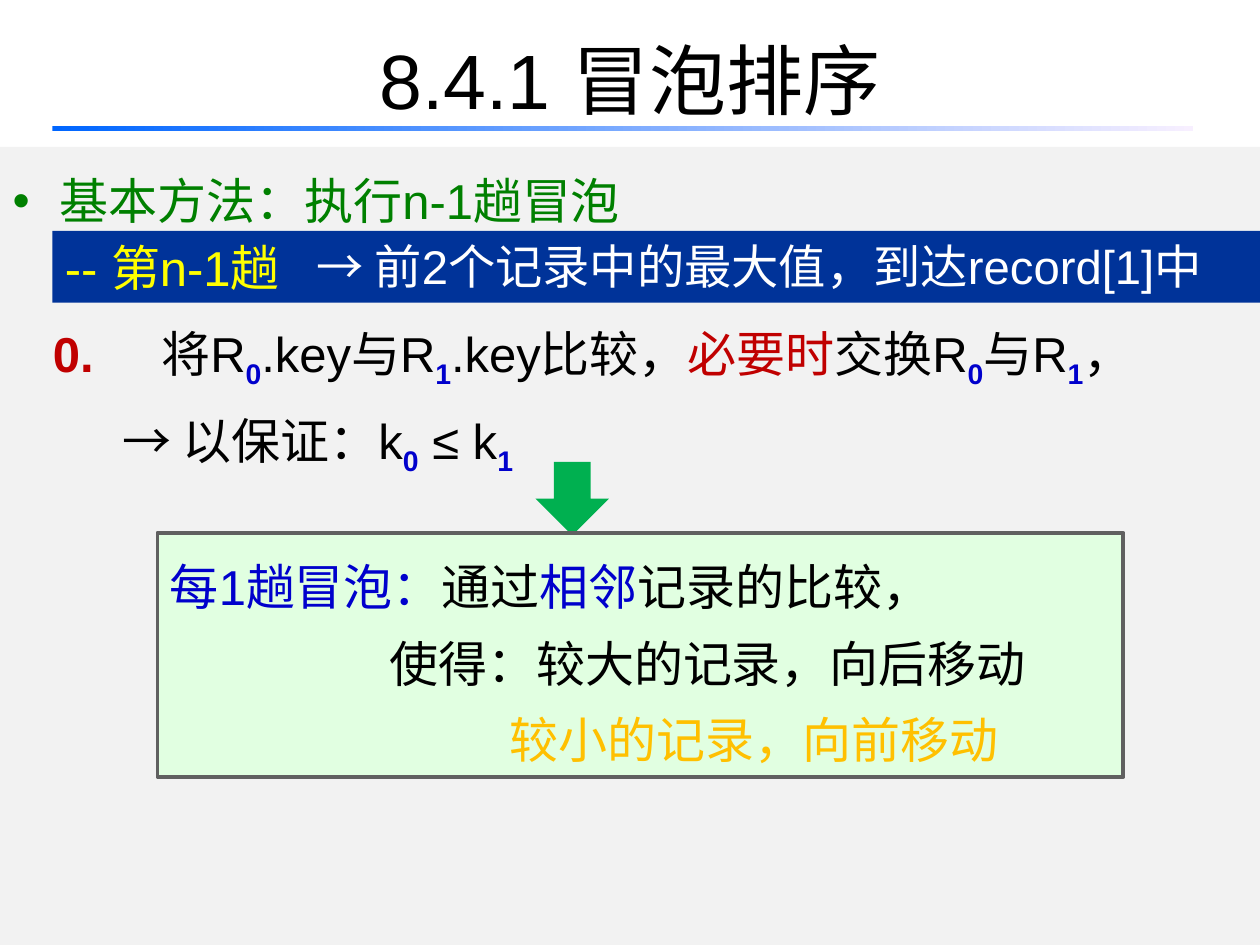
from dataclasses import dataclass

from lxml import etree
from pptx import Presentation
from pptx.dml import color
from pptx.enum import shapes, text
from pptx.oxml import ns
from pptx.util import Pt


@dataclass(frozen=True)
class Theme:
    font: str = "Arial"
    head: float = 44
    body: float = 28
    note: float = 27
    lead: float = 1.3
    black: str = "000000"
    white: str = "FFFFFF"
    green: str = "008000"
    blue: str = "0000CC"
    red: str = "C00000"
    gold: str = "FFC000"
    yellow: str = "FFFF00"
    navy: str = "003399"
    grey: str = "F2F2F2"
    mint: str = "E1FFE1"
    edge: str = "606060"
    arrow: str = "00B050"
    fade: tuple = ("0066FF", "F7EFFF")


def rgb(code):
    return color.RGBColor.from_string(code)


class Deck:
    def __init__(self, theme):
        self.theme = theme
        self.prs = Presentation()
        self.prs.slide_width, self.prs.slide_height = Pt(720), Pt(540)
        self.slide = self.prs.slides.add_slide(self.prs.slide_layouts[1])

    def place(self, shape, box):
        shape.left, shape.top, shape.width, shape.height = map(Pt, box)

    def frame(self, shape, anchor=text.MSO_ANCHOR.TOP):
        frame = shape.text_frame
        frame.word_wrap = True
        frame.auto_size = text.MSO_AUTO_SIZE.NONE
        frame.vertical_anchor = anchor
        return frame

    def title(self, words, box):
        shape = self.slide.shapes.title
        self.place(shape, box)
        frame = self.frame(shape, text.MSO_ANCHOR.MIDDLE)
        self.para(frame, [(words, self.theme.black)], size=self.theme.head,
                  align=text.PP_ALIGN.CENTER)

    def body(self, box, fill):
        shape = self.slide.placeholders[1]
        self.place(shape, box)
        shape.fill.solid()
        shape.fill.fore_color.rgb = rgb(fill)
        return self.frame(shape)

    def shape(self, kind, box, fill, line=None):
        """Add a preset shape; a pair of fill colours makes a gradient."""
        shape = self.slide.shapes.add_shape(kind, *map(Pt, box))
        shape.shadow.inherit = False
        if isinstance(fill, tuple):
            shape.fill.gradient()
            shape.fill.gradient_angle = 0
            for stop, code in zip(shape.fill.gradient_stops, fill):
                stop.color.rgb = rgb(code)
        else:
            shape.fill.solid()
            shape.fill.fore_color.rgb = rgb(fill)
        if line:
            shape.line.color.rgb = rgb(line)
            shape.line.width = Pt(2.25)
        else:
            shape.line.fill.background()
        return shape

    def label(self, box):
        return self.frame(self.slide.shapes.add_textbox(*map(Pt, box)))

    def para(self, frame, runs, size=None, align=text.PP_ALIGN.LEFT, lead=None,
             left=0, hang=0, before=0, bullet=None):
        """Add a paragraph of (words, colour, style) runs; style is b or sub."""
        para = frame.paragraphs[0]
        if para.runs:
            para = frame.add_paragraph()
        props = para._p.get_or_add_pPr()
        props.set("marL", str(Pt(left)))
        props.set("indent", str(Pt(-hang)))
        mark = etree.SubElement(props, ns.qn("a:buChar" if bullet else "a:buNone"))
        if bullet:
            mark.set("char", bullet)
        para.alignment = align
        para.space_before = Pt(before)
        if lead:
            para.line_spacing = lead
        for words, code, *style in runs:
            run = para.add_run()
            run.text = words
            run.font.name = self.theme.font
            run.font.size = Pt(size or self.theme.body)
            run.font.bold = bool(style)
            run.font.color.rgb = rgb(code)
            if "sub" in style:
                run.font._element.set("baseline", "-25000")


def main():
    t = Theme()
    deck = Deck(t)
    kind = shapes.MSO_SHAPE
    low, high = [(n, t.blue, "sub") for n in "01"]

    deck.title("8.4.1 冒泡排序", (36, 0, 648, 90))
    deck.shape(kind.RECTANGLE, (30, 72, 652, 3), t.fade)

    body = deck.body((0, 84, 720, 456), t.grey)
    deck.para(body, [("基本方法：执行n-1趟冒泡", t.green)], lead=t.lead,
              align=text.PP_ALIGN.JUSTIFY, left=27, hang=27, bullet="•")
    deck.para(body, [
        ("0.\t", t.red, "b"), ("将R", t.black), low, (".key与R", t.black), high,
        (".key比较，", t.black), ("必要时", t.red), ("交换R", t.black), low,
        ("与R", t.black), high, ("，", t.black),
    ], lead=t.lead, left=85, hang=62, before=42)
    deck.para(body, [("→ 以保证：k", t.black), low, (" ≤ k", t.black), high],
              lead=t.lead, left=63)

    band = deck.shape(kind.RECTANGLE, (30, 132, 690, 41), t.navy)
    deck.para(deck.frame(band), [("-- 第n-1趟", t.yellow)])
    deck.para(deck.label((174, 132, 576, 40)),
              [("→ 前2个记录中的最大值，到达record[1]中", t.white)], size=t.note)

    deck.shape(kind.DOWN_ARROW, (306, 264, 42, 42), t.arrow)
    rule = deck.frame(deck.shape(kind.RECTANGLE, (90, 304.5, 552, 139.5),
                                 t.mint, t.edge))
    deck.para(rule, [("每1趟冒泡：", t.blue), ("通过", t.black),
                     ("相邻", t.blue), ("记录的比较，", t.black)], lead=t.lead)
    deck.para(rule, [("使得：较大的记录，向后移动", t.black)], lead=t.lead, left=125.5)
    deck.para(rule, [("较小的记录，向前移动", t.gold)], lead=t.lead, left=194)

    deck.prs.save("out.pptx")


if __name__ == "__main__":
    main()
